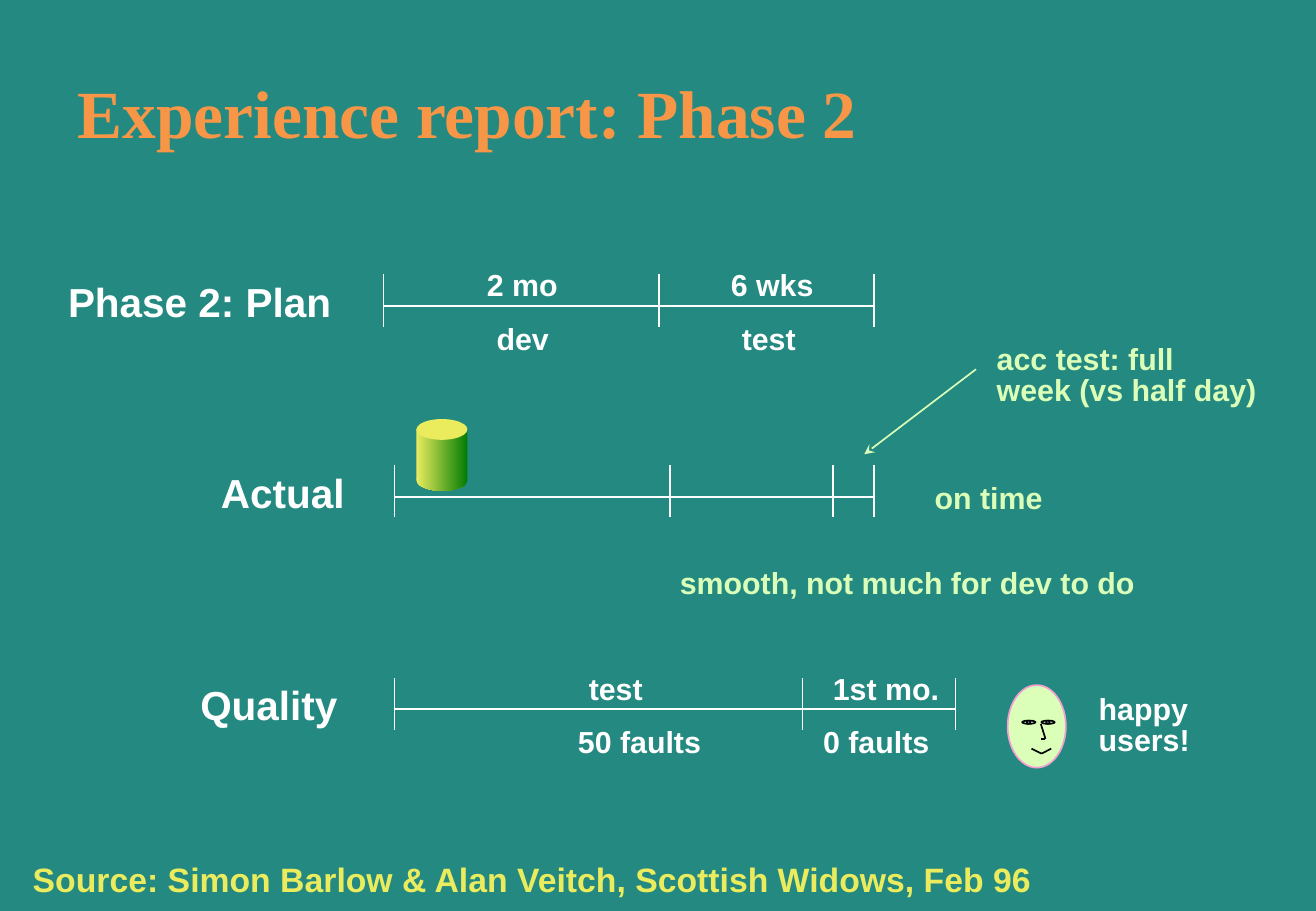
from itertools import pairwise

from lxml.etree import SubElement
from pptx import Presentation
from pptx.dml.color import RGBColor
from pptx.enum.shapes import MSO_CONNECTOR as CONNECTOR, MSO_SHAPE as SHAPE
from pptx.enum.text import MSO_ANCHOR as ANCHOR, MSO_AUTO_SIZE as AUTO_SIZE, PP_ALIGN as ALIGN
from pptx.oxml.ns import qn
from pptx.util import Inches, Pt

TEAL = RGBColor(0x24, 0x89, 0x80)
ORANGE = RGBColor(0xF7, 0x96, 0x46)
YELLOW = RGBColor(0xEA, 0xEC, 0x5E)
GREEN = RGBColor(0x03, 0x7C, 0x03)
MINT = RGBColor(0xDB, 0xFF, 0xB8)
PINK = RGBColor(0xF3, 0x9F, 0xD1)
BLUE = RGBColor(0x61, 0x8F, 0xFD)
WHITE = RGBColor(0xFF, 0xFF, 0xFF)
BLACK = RGBColor(0, 0, 0)

CAPTION_HEIGHT = 0.31
LABEL_HEIGHT = 0.44
TICK_HEIGHT = 0.43
AXIS_DROP = 0.26  # from the top of the ticks to the axis


def inches(*lengths):
    return [Inches(length) for length in lengths]


def add_text(slide, box, text, color=WHITE, size=18, spacing=0.85):
    frame = slide.shapes.add_textbox(*inches(*box)).text_frame
    frame.word_wrap = True
    frame.auto_size = AUTO_SIZE.SHAPE_TO_FIT_TEXT
    frame.margin_left = frame.margin_right = Inches(0.07)
    frame.margin_top = frame.margin_bottom = Inches(0.03)
    frame.text = text
    for paragraph in frame.paragraphs:
        paragraph.line_spacing = spacing
        font = paragraph.font
        font.name, font.size, font.bold = "Arial", Pt(size), True
        font.color.rgb = color


def add_line(slide, start, end, color=WHITE, arrow=False):
    line = slide.shapes.add_connector(CONNECTOR.STRAIGHT, *inches(*start, *end))
    line.line.color.rgb = color
    line.line.width = Pt(1)
    if arrow:
        SubElement(line.line._get_or_add_ln(), qn("a:tailEnd"), type="stealth")
    SubElement(line._element.spPr, qn("a:effectLst"))


def add_shape(slide, kind, box, fill, outline=None):
    """Fill with one colour, or with a left-to-right gradient for a pair."""
    shape = slide.shapes.add_shape(kind, *inches(*box))
    shape.shadow.inherit = False
    if isinstance(fill, list):
        shape.fill.gradient()
        shape.fill.gradient_angle = 0
        for stop, color in zip(shape.fill.gradient_stops, fill):
            stop.color.rgb = color
    else:
        shape.fill.solid()
        shape.fill.fore_color.rgb = fill
    if outline is None:
        shape.line.fill.background()
    else:
        shape.line.color.rgb = outline
        shape.line.width = Pt(1)


def add_title(slide, box, text):
    title = slide.shapes.title
    title.left, title.top, title.width, title.height = inches(*box)
    frame = title.text_frame
    frame.text = text
    frame.auto_size = AUTO_SIZE.NONE
    frame.vertical_anchor = ANCHOR.MIDDLE
    paragraph = frame.paragraphs[0]
    paragraph.alignment = ALIGN.LEFT
    font = paragraph.font
    font.name, font.size, font.bold = "Times New Roman", Pt(40), True
    font.color.rgb = ORANGE


def add_timeline(slide, left, top, ticks, label, label_box, above=(), below=()):
    """Place ticks, captions and the label by their offsets from left and top."""
    axis = top + AXIS_DROP
    add_line(slide, (left, axis), (left + ticks[-1], axis))
    for tick in ticks:
        add_line(slide, (left + tick, top), (left + tick, top + TICK_HEIGHT))
    for captions, drop in ((above, -0.05), (below, 0.39)):
        for text, offset, width in captions:
            add_text(slide, (left + offset, top + drop, width, CAPTION_HEIGHT), text)
    offset, drop, width = label_box
    add_text(slide, (left + offset, top + drop, width, LABEL_HEIGHT), label,
             size=24, spacing=0.97)


def add_cylinder(slide, left, top, width, height):
    cap = height * 0.29
    shades = [YELLOW, GREEN]
    add_shape(slide, SHAPE.OVAL, (left, top + height - cap, width, cap), shades)
    add_shape(slide, SHAPE.RECTANGLE, (left, top + cap / 2, width, height - cap), shades)
    add_shape(slide, SHAPE.OVAL, (left, top, width, cap), YELLOW)


def add_face(slide, left, top, width, height):
    def point(x, y):
        return left + x * width, top + y * height

    def oval(x, y, x_share, y_share, fill, outline=BLACK):
        box = (*point(x, y), x_share * width, y_share * height)
        add_shape(slide, SHAPE.OVAL, box, fill, outline)

    oval(0, 0, 1, 1, MINT, PINK)
    for eye in (0.25, 0.58):
        oval(eye, 0.43, 0.23, 0.04, MINT)
        oval(eye + 0.08, 0.43, 0.06, 0.04, BLUE)
    nose = [(0.57, 0.47), (0.65, 0.65), (0.57, 0.65)]
    mouth = [(0.41, 0.77), (0.58, 0.83), (0.75, 0.77)]
    for outline in (nose, mouth):
        for start, end in pairwise(outline):
            add_line(slide, point(*start), point(*end), BLACK)


def add_remarks(slide, left, top):
    """Comments on the actual run, with an arrow to the acceptance test."""
    add_text(slide, (left + 2.61, top, 2.35, 0.57), "acc test: full\nweek (vs half day)", MINT)
    add_line(slide, (left + 2.51, top + 0.22), (left + 1.59, top + 0.92), MINT, arrow=True)
    add_text(slide, (left + 2.1, top + 1.14, 1.1, CAPTION_HEIGHT), "on time", MINT)
    add_text(slide, (left, top + 1.84, 3.95, CAPTION_HEIGHT),
             "smooth, not much for dev to do", MINT)


def main():
    presentation = Presentation()
    presentation.slide_width, presentation.slide_height = inches(10.84, 7.5)
    slide = presentation.slides.add_slide(presentation.slide_layouts[5])
    slide.background.fill.solid()
    slide.background.fill.fore_color.rgb = TEAL

    add_title(slide, (0.54, 0.58, 9.21, 0.67), "Experience report: Phase 2")
    add_timeline(slide, 3.16, 2.26, (0, 2.27, 4.04), "Phase 2: Plan", (-2.67, 0.01, 2.51),
                 above=[("2 mo", 0.78, 0.8), ("6 wks", 2.79, 0.9)],
                 below=[("dev", 0.86, 0.65), ("test", 2.88, 0.65)])
    add_timeline(slide, 3.25, 3.83, (0, 2.27, 3.61, 3.95), "Actual", (-1.5, 0.02, 1.33))
    add_timeline(slide, 3.25, 5.58, (0, 3.36, 4.62), "Quality", (-1.67, 0.01, 1.33),
                 above=[("test", 1.53, 0.65), ("1st mo.", 3.54, 1.1)],
                 below=[("50 faults", 1.44, 1.25), ("0 faults", 3.46, 1.15)])
    add_cylinder(slide, 3.43, 3.45, 0.42, 0.59)
    add_remarks(slide, 5.53, 2.82)
    add_face(slide, 8.3, 5.64, 0.48, 0.68)
    add_text(slide, (8.98, 5.7, 0.95, 0.57), "happy\nusers!")
    add_text(slide, (0.2, 7.09, 8.5, 0.34),
             "Source: Simon Barlow & Alan Veitch, Scottish Widows, Feb 96", YELLOW, size=20)
    presentation.save("out.pptx")


if __name__ == "__main__":
    main()
